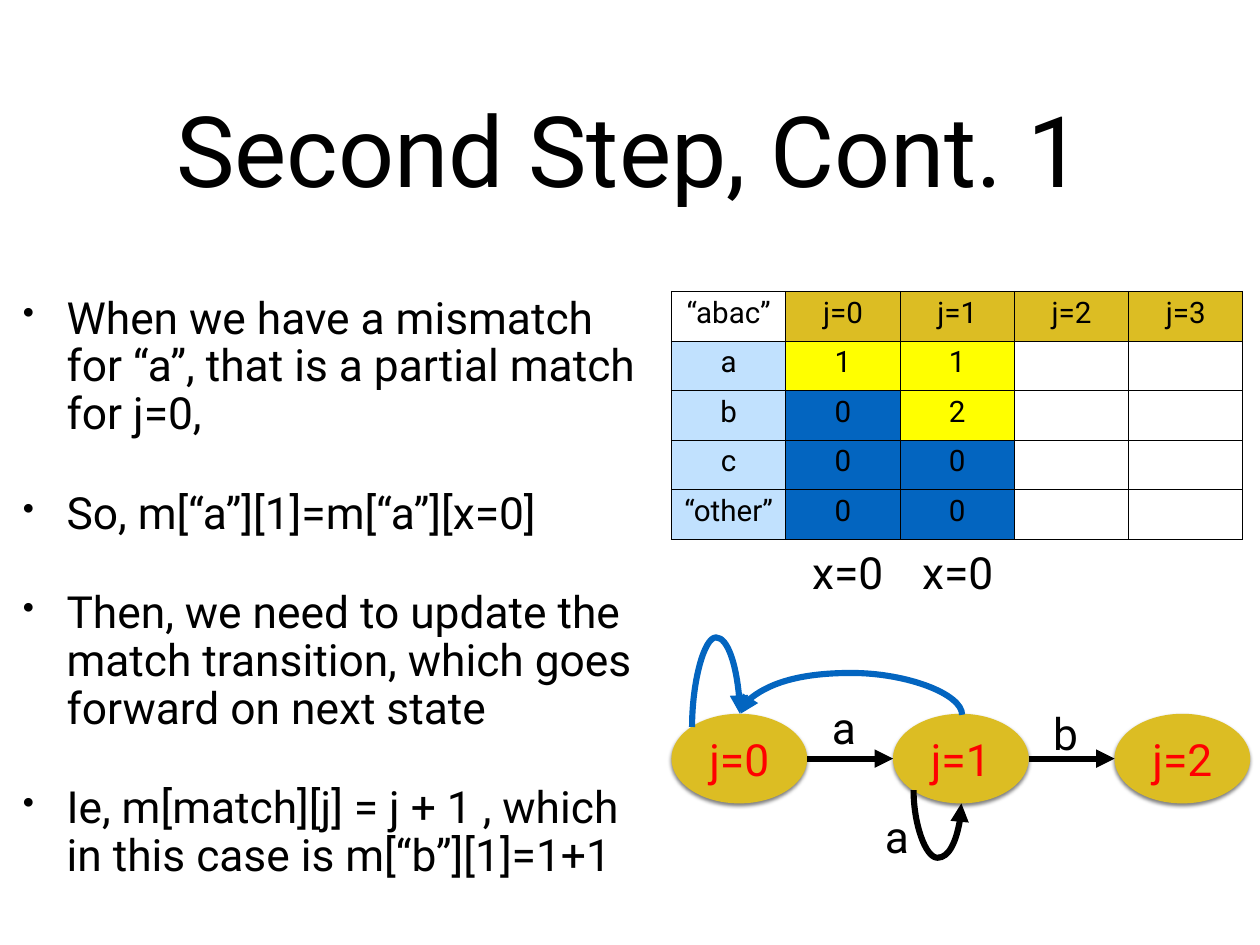
from lxml import etree
from pptx import Presentation
from pptx import util as u
from pptx.dml.color import RGBColor
from pptx.enum import shapes, text
from pptx.oxml import parse_xml
from pptx.oxml.ns import qn

COLORS = {"black": "000000", "red": "FF0000", "gold": "DCBD23", "sky": "C1E1FE",
          "yellow": "FFFF00", "blue": "0365C0"}
NS = 'xmlns:a="http://schemas.openxmlformats.org/drawingml/2006/main"'
BULLETS = [
    "When we have a mismatch for “a”, that is a partial match for j=0,",
    "So, m[“a”][1]=m[“a”][x=0]",
    "Then, we need to update the match transition, which goes forward on next state",
    "Ie, m[match][j] = j + 1 , which in this case is m[“b”][1]=1+1",
]
ROWS = [
    ["“abac”", "j=0", "j=1", "j=2", "j=3"],
    ["a", "1", "1", "", ""],
    ["b", "0", "2", "", ""],
    ["c", "0", "0", "", ""],
    ["“other”", "0", "0", "", ""],
]
MATCHES = [(1, 1), (1, 2), (2, 2)]
LEFT = 19.25
STATE_W, STATE_H, STATE_STEP, STATE_TOP = 3.89, 2.57, 6.35, 20.47


def rgb(name):
    return RGBColor.from_string(COLORS[name])


def write(p, words, size=36, color="black", align=text.PP_ALIGN.CENTER):
    p.alignment = align
    r = p.add_run()
    r.text = words
    r.font.size = u.Pt(size)
    r.font.name = "Roboto"
    r.font.color.rgb = rgb(color)


def set_frame(tf, wrap=True):
    tf.auto_size = text.MSO_AUTO_SIZE.NONE
    tf.word_wrap = wrap
    tf.vertical_anchor = text.MSO_ANCHOR.MIDDLE
    tf.margin_left = tf.margin_right = tf.margin_top = tf.margin_bottom = u.Cm(0.15)


def add_title(s, words):
    sp = s.shapes.title
    sp.left, sp.top, sp.width, sp.height = u.Cm(2.64), u.Cm(1.24), u.Cm(30.84), u.Cm(5.99)
    set_frame(sp.text_frame)
    write(sp.text_frame.paragraphs[0], words, size=80)


def add_bullets(s, items):
    sp = s.shapes.add_textbox(u.Cm(0.51), u.Cm(7.24), u.Cm(18.26), u.Cm(19.28))
    tf = sp.text_frame
    set_frame(tf)
    for i, item in enumerate(items):
        p = tf.add_paragraph() if i else tf.paragraphs[0]
        pPr = p._p.get_or_add_pPr()
        pPr.set("marL", str(u.Cm(1.25)))
        pPr.set("indent", str(-u.Cm(1.25)))
        etree.SubElement(pPr, qn("a:buSzPct")).set("val", "75000")
        etree.SubElement(pPr, qn("a:buChar")).set("char", "•")
        p.line_spacing = 0.9
        if i:
            p.space_before = u.Pt(42)
        write(p, item, align=text.PP_ALIGN.LEFT)


def add_label(s, words, left, top, width):
    sp = s.shapes.add_textbox(u.Cm(left), u.Cm(top), u.Cm(width), u.Cm(1.83))
    set_frame(sp.text_frame, wrap=False)
    write(sp.text_frame.paragraphs[0], words)


def cell_color(row, col):
    if row == 0:
        return "gold" if col else None
    if col == 0:
        return "sky"
    if (row, col) in MATCHES:
        return "yellow"
    return "blue" if ROWS[row][col] else None


def format_cell(cell, words, color):
    cell.margin_left = cell.margin_right = u.Cm(0.13)
    tcPr = cell._tc.get_or_add_tcPr()
    for side in ("lnL", "lnR", "lnT", "lnB"):
        tcPr.append(parse_xml(
            f'<a:{side} {NS} w="12700"><a:solidFill>'
            f'<a:srgbClr val="{COLORS["black"]}"/></a:solidFill></a:{side}>'))
    if color:
        cell.fill.solid()
        cell.fill.fore_color.rgb = rgb(color)
    else:
        cell.fill.background()
    if words:
        write(cell.text_frame.paragraphs[0], words, size=24)


def add_transitions(s):
    n = len(ROWS)
    table = s.shapes.add_table(n, n, u.Cm(LEFT), u.Cm(8.36), u.Cm(16.38), u.Cm(7.1)).table
    table.first_row = table.horz_banding = False
    for i, row in enumerate(ROWS):
        for j, words in enumerate(row):
            format_cell(table.cell(i, j), words, cell_color(i, j))


def add_state(s, words, left):
    sp = s.shapes.add_shape(shapes.MSO_SHAPE.OVAL, u.Cm(left), u.Cm(STATE_TOP),
                            u.Cm(STATE_W), u.Cm(STATE_H))
    sp.fill.solid()
    sp.fill.fore_color.rgb = rgb("gold")
    sp.line.fill.background()
    sp._element.spPr.append(parse_xml(
        f'<a:effectLst {NS}><a:outerShdw blurRad="38100" dist="25400" dir="5400000" '
        f'rotWithShape="0"><a:srgbClr val="{COLORS["black"]}"><a:alpha val="50000"/>'
        '</a:srgbClr></a:outerShdw></a:effectLst>'))
    set_frame(sp.text_frame)
    write(sp.text_frame.paragraphs[0], words, color="red")


def add_arrow(s, x1, y1, x2, y2, color="black", kind=shapes.MSO_CONNECTOR.STRAIGHT):
    c = s.shapes.add_connector(kind, u.Cm(x1), u.Cm(y1), u.Cm(x2), u.Cm(y2))
    c.line.color.rgb = rgb(color)
    c.line.width = u.Pt(5)
    etree.SubElement(c.line._get_or_add_ln(), qn("a:tailEnd")).set("type", "triangle")
    etree.SubElement(c._element.spPr, qn("a:effectLst"))
    return c


def add_loop(s, x1, y1, x2, y2, peak, turn, color):
    cx, cy = (x1 + x2) / 2, (y1 + y2) / 2
    way = 1 if turn == 270 else -1
    dx, dy = way * (cy - y1), way * (x1 - cx)
    c = add_arrow(s, cx + dx, cy + dy, cx - dx, cy - dy, color, shapes.MSO_CONNECTOR.CURVE)
    spPr = c._element.spPr
    spPr.find(qn("a:xfrm")).set("rot", str(turn * 60000))
    geom = spPr.find(qn("a:prstGeom"))
    guides = geom.find(qn("a:avLst"))
    if guides is None:
        guides = etree.SubElement(geom, qn("a:avLst"))
    guide = etree.SubElement(guides, qn("a:gd"))
    guide.set("name", "adj1")
    guide.set("fmla", f"val {round((peak - y1) / (y2 - y1) * 100000)}")


def main():
    prs = Presentation()
    prs.slide_width, prs.slide_height = u.Cm(36.12), u.Cm(27.1)
    s = prs.slides.add_slide(prs.slide_layouts[5])
    add_title(s, "Second Step, Cont. 1")
    add_bullets(s, BULLETS)
    add_transitions(s)
    for left in (23.06, 26.21):
        add_label(s, "x=0", left, 15.47, 2.49)

    lefts = [LEFT + STATE_STEP * i for i in range(3)]
    middle = STATE_TOP + STATE_H / 2
    for i, left in enumerate(lefts):
        add_state(s, f"j={i}", left)
    for left, following in zip(lefts, lefts[1:]):
        add_arrow(s, left + STATE_W, middle, following, middle)

    add_loop(s, 19.84, 20.85, 21.21, 20.47, 18.28, 90, "blue")
    add_loop(s, 26.19, 22.66, 27.56, 23.04, 24.6, 270, "black")
    add_loop(s, 27.58, 20.5, 21.23, 20.47, 19.3, 270, "blue")
    for words, left, top in (("a", 23.7, 19.94), ("b", 30.05, 20.09), ("a", 25.22, 23.06)):
        add_label(s, words, left, top, 0.99)
    prs.save("out.pptx")


if __name__ == "__main__":
    main()
